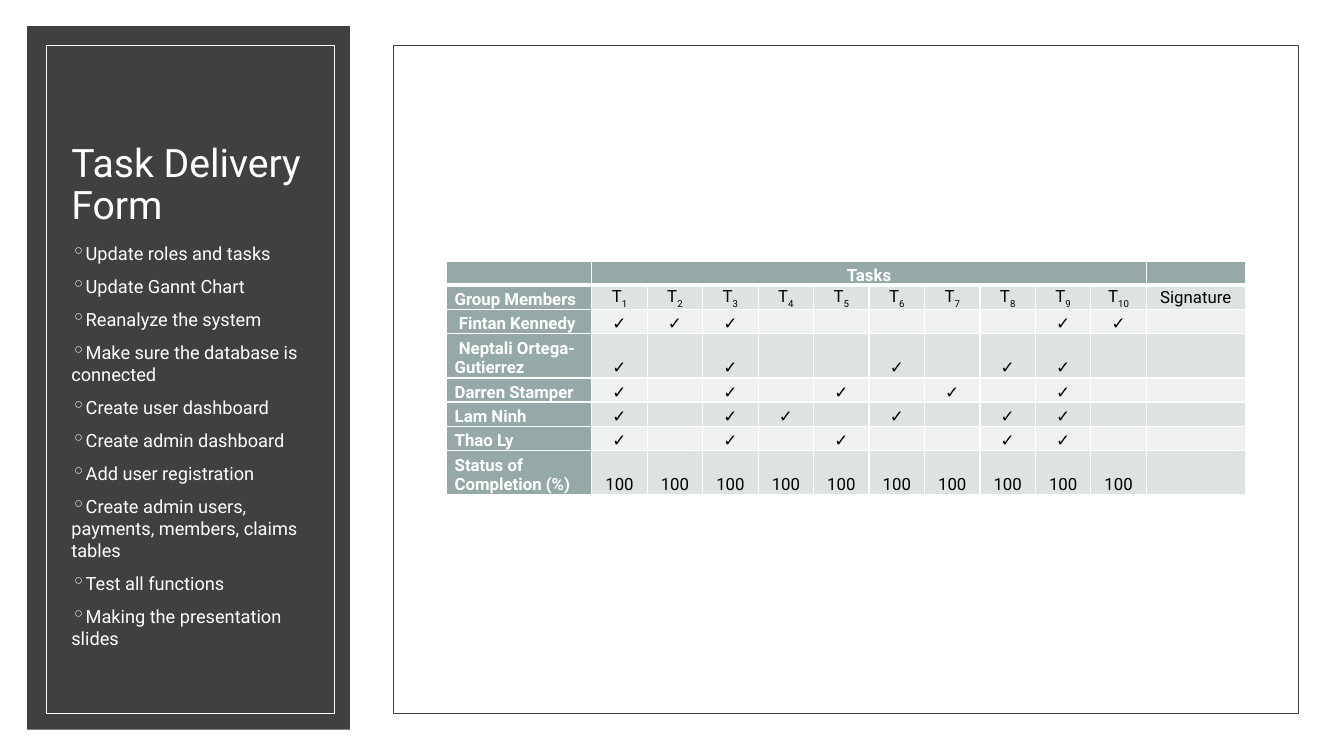
from lxml import etree
from pptx import Presentation
from pptx.dml.color import RGBColor
from pptx.enum import shapes, text
from pptx.oxml import ns
from pptx.util import Inches, Pt

TITLE = "Task Delivery Form"
TODO = [
    "Update roles and tasks",
    "Update Gannt Chart",
    "Reanalyze the system",
    "Make sure the database is connected",
    "Create user dashboard",
    "Create admin dashboard",
    "Add user registration",
    "Create admin users, payments, members, claims tables",
    "Test all functions",
    "Making the presentation slides",
]
TASKS = 10
# Member, numbers of the tasks delivered
TEAM = [
    (" Fintan Kennedy", (1, 2, 3, 9, 10)),
    (" Neptali Ortega-Gutierrez", (1, 3, 6, 8, 9)),
    ("Darren Stamper", (1, 3, 5, 7, 9)),
    ("Lam Ninh", (1, 3, 4, 6, 8, 9)),
    ("Thao Ly", (1, 3, 5, 8, 9)),
]
DONE = ("Status of Completion (%)", ["100"] * TASKS)

THEME = {
    "font": "Roboto", "title": 28, "list": 13, "cell": 12,
    "white": "FFFFFF", "black": "000000", "dark": "404040",
    "head": "96A9A9", "bands": ("EFF1F1", "DDE2E2"),
}
PAGE = (0, 0, 13.33, 7.5)
PANEL = (0.27, 0.26, 3.2, 6.98)
INSET = (0.46, 0.45, 2.86, 6.63)
FRAME = (3.9, 0.45, 8.98, 6.63)
HEADING = (0.61, 0.67, 2.53, 1.64)
LIST = (0.61, 2.35, 2.53, 4.22)
GRID = (4.43, 2.59)
COLS = [1.44] + [0.55] * TASKS + [0.98]
LOW, TALL = 0.24, 0.44
ROWS = [LOW, LOW, LOW, TALL, LOW, LOW, LOW, TALL]


def color(name):
    return RGBColor.from_string(THEME.get(name, name))


def box(slide, place, fill=None, line=None):
    rect = slide.shapes.add_shape(shapes.MSO_SHAPE.RECTANGLE, *map(Inches, place))
    rect.shadow.inherit = False
    if fill:
        rect.fill.solid()
        rect.fill.fore_color.rgb = color(fill)
    else:
        rect.fill.background()
    if line:
        rect.line.color.rgb = color(line)
        rect.line.width = Pt(0.5)
    else:
        rect.line.fill.background()


def write(para, words, size="cell", ink="black", bold=False, align=None, sub=""):
    """Fill a paragraph with words and an optional subscript."""
    para.alignment = align
    for part, base in ((words, None), (sub, "-25000")):
        if not part:
            continue
        run = para.add_run()
        run.text = part
        run.font.name = THEME["font"]
        run.font.size = Pt(THEME[size])
        run.font.bold = bold
        run.font.color.rgb = color(ink)
        if base:
            run.font._element.set("baseline", base)
    end = etree.SubElement(para._p, ns.qn("a:endParaRPr"))
    end.set("sz", str(THEME[size] * 100))


def frame(slide, place, anchor):
    body = slide.shapes.add_textbox(*map(Inches, place)).text_frame
    body.word_wrap = True
    body.vertical_anchor = anchor
    return body


def bullet(para):
    props = para._p.get_or_add_pPr()
    props.set("marL", "0")
    props.set("indent", str(-Inches(0.2)))
    tint = etree.SubElement(props, ns.qn("a:buClr"))
    etree.SubElement(tint, ns.qn("a:srgbClr")).set("val", THEME["white"])
    etree.SubElement(props, ns.qn("a:buChar")).set("char", "◦")


def edge(cell, **widths):
    """Draw white borders; widths in points by side."""
    props = cell._tc.get_or_add_tcPr()
    for side in "LRTB":
        line = etree.SubElement(props, ns.qn("a:ln" + side))
        line.set("w", str(Pt(widths.get(side, 1))))
        fill = etree.SubElement(line, ns.qn("a:solidFill"))
        etree.SubElement(fill, ns.qn("a:srgbClr")).set("val", THEME["white"])


def rows():
    """Give each table row as a list of (words, subscript)."""
    yield [("", ""), ("Tasks", "")] + [("", "")] * TASKS
    labels = [("T", str(n)) for n in range(1, TASKS + 1)]
    yield [("Group Members", ""), *labels, ("Signature", "")]
    marks = [(name, ["✓" if n in done else "" for n in range(1, TASKS + 1)])
             for name, done in TEAM]
    for name, values in marks + [DONE]:
        yield [(word, "") for word in (name, *values, "")]


def table(slide):
    size = (sum(COLS), sum(ROWS))
    grid = slide.shapes.add_table(len(ROWS), len(COLS), *map(Inches, GRID + size)).table
    for col, width in zip(grid.columns, COLS):
        col.width = Inches(width)
    for row, height in zip(grid.rows, ROWS):
        row.height = Inches(height)
    for r, row in enumerate(rows()):
        for c, (words, sub) in enumerate(row):
            cell = grid.cell(r, c)
            head = r == 0 or c == 0
            edge(cell, B=3 if r == 0 else 1, T=3 if r == 1 else 1)
            cell.fill.solid()
            cell.fill.fore_color.rgb = color("head" if head else THEME["bands"][r % 2])
            cell.margin_left = cell.margin_right = Inches(0.08)
            cell.margin_top = cell.margin_bottom = 0
            middle = words == "Signature"
            cell.vertical_anchor = text.MSO_ANCHOR.MIDDLE if middle else text.MSO_ANCHOR.BOTTOM
            write(cell.text_frame.paragraphs[0], words, sub=sub, bold=head,
                  ink="white" if head else "black",
                  align=text.PP_ALIGN.CENTER if c else text.PP_ALIGN.LEFT)
    grid.cell(0, 1).merge(grid.cell(0, TASKS))


def main():
    deck = Presentation()
    deck.slide_width, deck.slide_height = map(Inches, PAGE[2:])
    slide = deck.slides.add_slide(deck.slide_layouts[6])
    box(slide, PAGE, fill="white")
    box(slide, PANEL, fill="dark")
    box(slide, INSET, line="white")

    title = frame(slide, HEADING, text.MSO_ANCHOR.BOTTOM).paragraphs[0]
    title.line_spacing = 0.9
    write(title, TITLE, size="title", ink="white")

    todo = frame(slide, LIST, text.MSO_ANCHOR.TOP)
    for i, item in enumerate(TODO):
        para = todo.add_paragraph() if i else todo.paragraphs[0]
        para.space_before = Pt(8)
        bullet(para)
        write(para, item, size="list", ink="white")

    box(slide, FRAME, line="dark")
    table(slide)
    deck.save("out.pptx")


if __name__ == "__main__":
    main()
